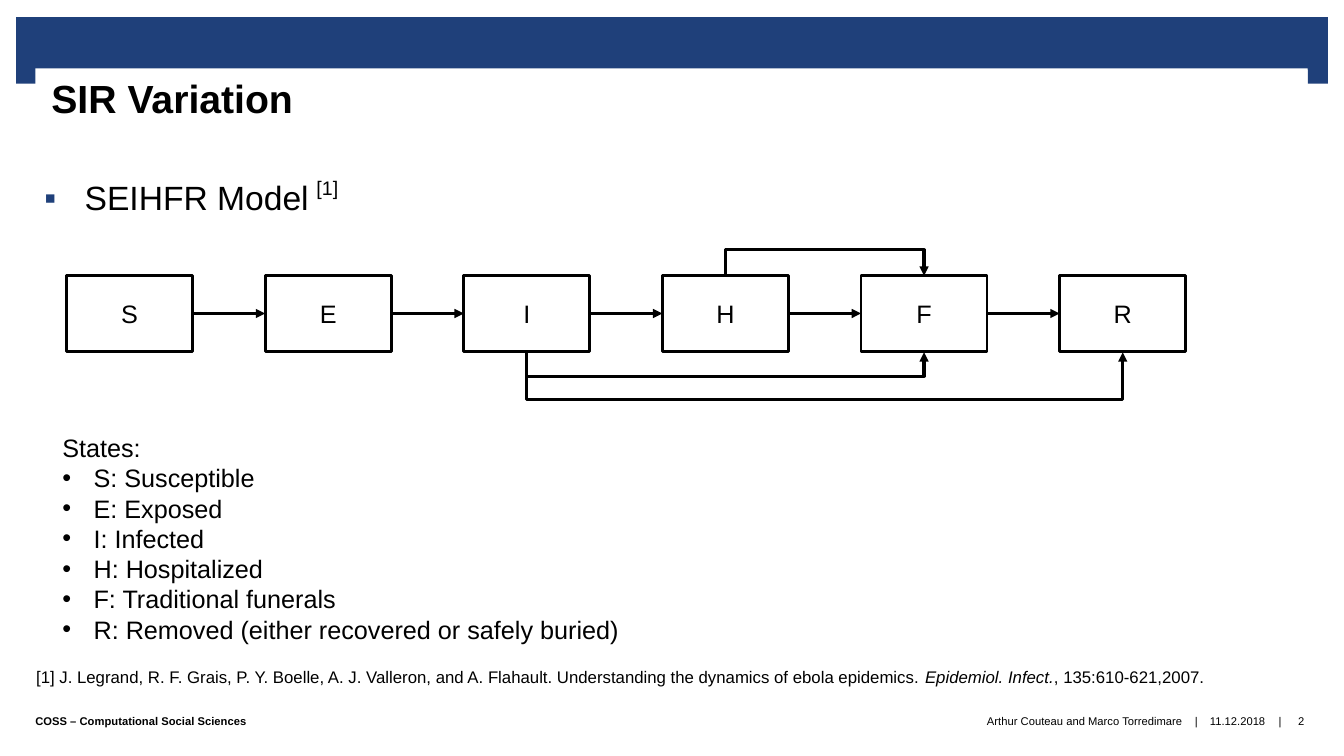
import pptx
import pptx.dml.color
import pptx.enum.shapes
import pptx.enum.text
import pptx.oxml.ns
import pptx.util
import lxml.etree

Inches = pptx.util.Inches
Pt = pptx.util.Pt
qn = pptx.oxml.ns.qn
ALIGN = pptx.enum.text.PP_ALIGN
ANCHOR = pptx.enum.text.MSO_ANCHOR
KIND = pptx.enum.shapes.MSO_CONNECTOR
RECTANGLE = pptx.enum.shapes.MSO_SHAPE.RECTANGLE
color = pptx.dml.color.RGBColor.from_string

THEME = {
    "font": "Arial", "ink": "000000", "paper": "FFFFFF", "accent": "1F407A",
    "title": 28, "heading": 24, "body": 18, "mark": 14, "reference": 12, "footer": 8,
}

deck = pptx.Presentation()
deck.slide_width, deck.slide_height = Inches(13.33), Inches(7.5)
slide = deck.slides.add_slide(deck.slide_layouts[6])


def write(text, box, size, shape=None, bold=False, align=ALIGN.LEFT, anchor=ANCHOR.TOP,
          margins=(0.1, 0.05, 0.1, 0.05), wrap=True, bullet=None, bullet_color="ink",
          indent=0, before=0):
    """Write lines into a shape or a new text box; *stars* enclose italics, "- " starts a bullet."""
    if shape is None:
        shape = slide.shapes.add_textbox(*map(Inches, box))
    frame = shape.text_frame
    frame.word_wrap = wrap
    frame.vertical_anchor = anchor
    (frame.margin_left, frame.margin_top,
     frame.margin_right, frame.margin_bottom) = map(Inches, margins)
    for number, line in enumerate(text.split("\n")):
        paragraph = frame.add_paragraph() if number else frame.paragraphs[0]
        paragraph.alignment = align
        paragraph.space_before = Pt(before)
        if line.startswith("- "):
            line = line[2:]
            properties = paragraph._p.get_or_add_pPr()
            properties.set("marL", str(Inches(indent)))
            properties.set("indent", str(-Inches(indent)))
            tint = lxml.etree.SubElement(properties, qn("a:buClr"))
            lxml.etree.SubElement(tint, qn("a:srgbClr"), val=THEME[bullet_color])
            lxml.etree.SubElement(properties, qn("a:buFont"), typeface=THEME["font"])
            lxml.etree.SubElement(properties, qn("a:buChar"), char=bullet)
        for part, words in enumerate(line.split("*")):
            run = paragraph.add_run()
            run.text = words
            run.font.name = THEME["font"]
            run.font.size = Pt(THEME[size])
            run.font.bold = bold
            run.font.italic = part % 2 == 1
            run.font.color.rgb = color(THEME["ink"])


def arrow(kind, source, source_site, target, target_site):
    """Join two boxes at their sites: 0 top, 1 left, 2 bottom, 3 right."""
    connector = slide.shapes.add_connector(kind, 0, 0, 0, 0)
    connector.begin_connect(source, source_site)
    connector.end_connect(target, target_site)
    connector.line.color.rgb = color(THEME["ink"])
    connector.line.width = Pt(2.25)
    lxml.etree.SubElement(connector.line._get_or_add_ln(), qn("a:tailEnd"), type="triangle")
    lxml.etree.SubElement(connector._element.spPr, qn("a:effectLst"))
    return connector


# Header band and footer
blocks = [
    ((0.16, 0.17, 13.01, 0.52), "accent"),
    ((0.16, 0.65, 0.2, 0.18), "accent"),
    ((12.97, 0.65, 0.2, 0.18), "accent"),
    ((0.35, 0.68, 12.62, 1.06), "paper"),
]
for box, fill in blocks:
    block = slide.shapes.add_shape(RECTANGLE, *map(Inches, box))
    block.shadow.inherit = False
    block.fill.solid()
    block.fill.fore_color.rgb = color(THEME[fill])
    block.line.fill.background()
write("SIR Variation", None, "title", shape=block, bold=True, margins=(0.16, 0.06, 0.16, 0))

write("COSS – Computational Social Sciences", (0.35, 6.9, 6.31, 0.5), "footer",
      bold=True, anchor=ANCHOR.MIDDLE, margins=(0, 0.05, 0, 0.05))
footer_parts = [
    ("Arthur Couteau and Marco Torredimare", 6.66, 5.07, ALIGN.RIGHT),
    ("|", 11.79, 0.15, ALIGN.CENTER),
    ("11.12.2018", 11.94, 0.67, ALIGN.CENTER),
    ("|", 12.62, 0.15, ALIGN.CENTER),
    ("2", 12.71, 0.39, ALIGN.CENTER),
]
for words, left, width, align in footer_parts:
    write(words, (left, 6.9, width, 0.5), "footer", align=align, anchor=ANCHOR.MIDDLE,
          margins=(0, 0, 0, 0), wrap=False)

# State boxes
states = {}
for column, letter in enumerate("SEIHFR"):
    state = slide.shapes.add_shape(
        RECTANGLE, Inches(0.66 + 1.97 * column), Inches(2.73), Inches(1.25), Inches(0.76))
    state.shadow.inherit = False
    state.fill.solid()
    state.fill.fore_color.rgb = color(THEME["paper"])
    state.line.color.rgb = color(THEME["ink"])
    state.line.width = Pt(2)
    write(letter, None, "body", shape=state, align=ALIGN.CENTER, anchor=ANCHOR.MIDDLE)
    states[letter] = state

for source, target in zip("SEIHF", "EIHFR"):
    arrow(KIND.STRAIGHT, states[source], 3, states[target], 1)

# Detours leave and enter on one side: a thin elbow, turned by 270 degrees
THIN = Inches(0.01)
for source, target, site, reach in [("I", "F", 2, 0.25), ("I", "R", 2, 0.49), ("H", "F", 0, -0.25)]:
    start, end = states[source], states[target]
    detour = arrow(KIND.ELBOW, start, site, end, site)
    span = end.left - start.left
    edge = start.top + (start.height if site == 2 else 0)
    middle = start.left + start.width // 2 + span // 2
    detour.left, detour.top = middle - THIN // 2, edge - span // 2
    detour.width, detour.height = THIN, span
    frame = detour._element.spPr.find(qn("a:xfrm"))
    frame.set("rot", str(270 * 60000))
    frame.set("flipH", "1")
    frame.attrib.pop("flipV", None)
    geometry = detour._element.spPr.find(qn("a:prstGeom"))
    adjustments = geometry.find(qn("a:avLst"))
    if adjustments is None:
        adjustments = lxml.etree.SubElement(geometry, qn("a:avLst"))
    lxml.etree.SubElement(adjustments, qn("a:gd"), name="adj1",
                          fmla=f"val {round(Inches(reach) / THIN * 100000)}")

# Explanations
write("States:\n- S: Susceptible\n- E: Exposed\n- I: Infected\n- H: Hospitalized\n"
      "- F: Traditional funerals\n- R: Removed (either recovered or safely buried)",
      (0.52, 4.24, 10.79, 2.22), "body", bullet="•", indent=0.31)
write("- SEIHFR Model", (0.29, 1.76, 12.62, 4.6), "heading", margins=(0.15, 0, 0.16, 0),
      bullet="▪", bullet_color="accent", indent=0.4, before=5)
write("[1] J. Legrand, R. F. Grais, P. Y. Boelle, A. J. Valleron, and A. Flahault. "
      "Understanding the dynamics of ebola epidemics. *Epidemiol. Infect.*, 135:610-621,2007.",
      (0.26, 6.57, 12.08, 0.3), "reference")
write("[1]", (3.04, 1.7, 0.42, 0.34), "mark")

deck.save("out.pptx")
